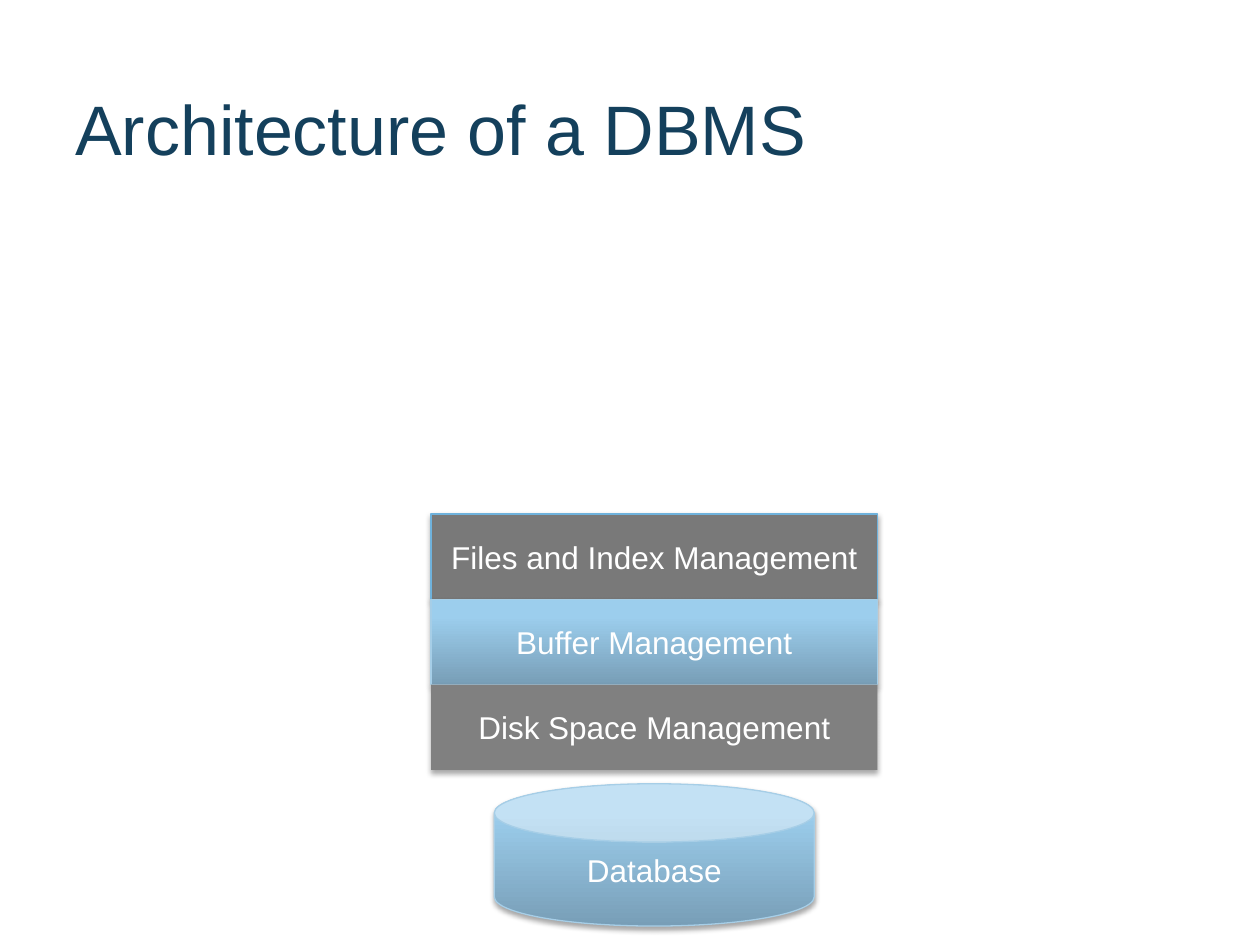
from copy import deepcopy

from lxml.etree import SubElement
from pptx import Presentation
from pptx.dml.color import RGBColor
from pptx.enum.shapes import MSO_SHAPE
from pptx.enum.text import MSO_ANCHOR, PP_ALIGN
from pptx.oxml.ns import qn
from pptx.util import Cm, Pt

NAVY = RGBColor(0x14, 0x40, 0x5C)
WHITE = RGBColor(0xFF, 0xFF, 0xFF)
DARK_GRAY = RGBColor(0x79, 0x79, 0x79)
GRAY = RGBColor(0x80, 0x80, 0x80)
BRIGHT_BLUE = RGBColor(0x6F, 0xB2, 0xDC)
PALE_BLUE = RGBColor(0xA6, 0xCE, 0xE7)
BLUE_STOPS = (
    (0, RGBColor(0x78, 0x9E, 0xB7)),
    (0.8, RGBColor(0x9C, 0xCE, 0xED)),
    (1, RGBColor(0x9C, 0xCF, 0xF0)),
)
LAYERS = (
    ("Files and Index Management", DARK_GRAY, BRIGHT_BLUE),
    ("Buffer Management", BLUE_STOPS, PALE_BLUE),
    ("Disk Space Management", GRAY, None),
)


def write_text(frame, text, size, color, align):
    frame.word_wrap = True
    frame.vertical_anchor = MSO_ANCHOR.MIDDLE
    paragraph = frame.paragraphs[0]
    paragraph.text = text
    paragraph.alignment = align
    paragraph.font.name = "Arial"
    paragraph.font.size = Pt(size)
    paragraph.font.color.rgb = color


def fill_gradient(component, stops):
    component.fill.gradient()
    component.fill.gradient_angle = 90
    stop_list = component._element.spPr.find(qn("a:gradFill")).find(qn("a:gsLst"))
    stop_list.append(deepcopy(stop_list[-1]))
    for stop, (position, color) in zip(component.fill.gradient_stops, stops):
        stop.position = position
        stop.color.rgb = color


def add_shadow(component):
    component.shadow.inherit = False
    effects = component._element.spPr.find(qn("a:effectLst"))
    shadow = SubElement(
        effects, qn("a:outerShdw"), blurRad=str(Pt(3.1)), dist=str(Pt(1.8)),
        dir="5400000", rotWithShape="0",
    )
    shadow_color = SubElement(shadow, qn("a:srgbClr"), val="000000")
    SubElement(shadow_color, qn("a:alpha"), val="35000")


def add_component(slide, preset, box, text, fill, outline):
    component = slide.shapes.add_shape(preset, *box)
    if fill is BLUE_STOPS:
        fill_gradient(component, fill)
    else:
        component.fill.solid()
        component.fill.fore_color.rgb = fill
    if outline is None:
        component.line.fill.background()
    else:
        component.line.color.rgb = outline
        component.line.width = Pt(0.75)
    add_shadow(component)
    write_text(component.text_frame, text, 18, WHITE, PP_ALIGN.CENTER)
    return component


def add_title(slide, left, top, width, height):
    title = slide.shapes.add_textbox(left, top, width, height)
    write_text(title.text_frame, "Architecture of a DBMS", 40, NAVY, PP_ALIGN.LEFT)


def add_architecture(slide, left, top, width, height):
    layer_height = Cm(1.72)
    database_width, database_height = Cm(6.45), Cm(2.87)
    database_box = (
        left + (width - database_width) // 2,
        top + height - database_height,
        database_width,
        database_height,
    )
    database = add_component(
        slide, MSO_SHAPE.CAN, database_box, "Database", BLUE_STOPS, PALE_BLUE
    )
    database.adjustments[0] = 0.41
    for row, (text, fill, outline) in enumerate(LAYERS):
        layer_box = (left, top + row * layer_height, width, layer_height)
        add_component(slide, MSO_SHAPE.RECTANGLE, layer_box, text, fill, outline)


def main():
    presentation = Presentation()
    presentation.slide_width = Cm(25.4)
    presentation.slide_height = Cm(19.05)
    slide = presentation.slides.add_slide(presentation.slide_layouts[6])
    add_title(slide, Cm(1.27), Cm(1.6), Cm(22.86), Cm(1.96))
    add_architecture(slide, Cm(8.69), Cm(10.36), Cm(9), Cm(8.31))
    presentation.save("out.pptx")


if __name__ == "__main__":
    main()
